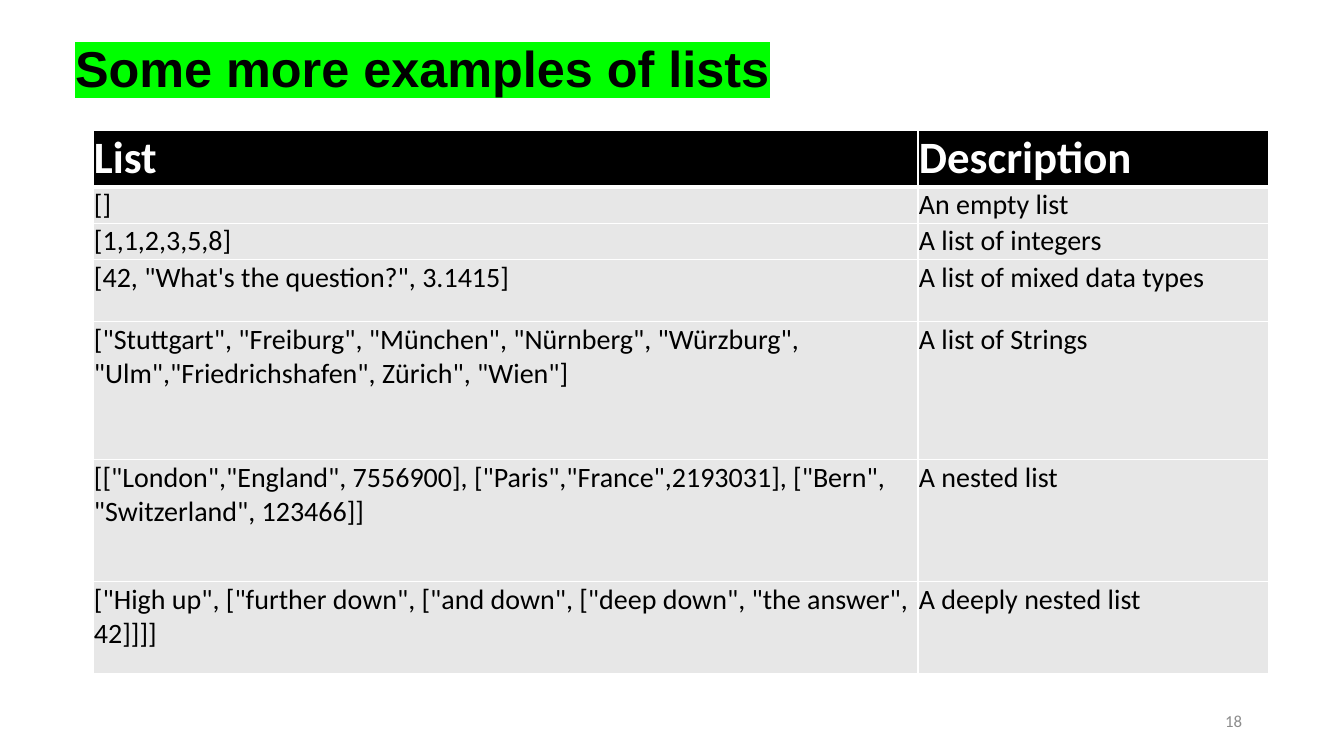
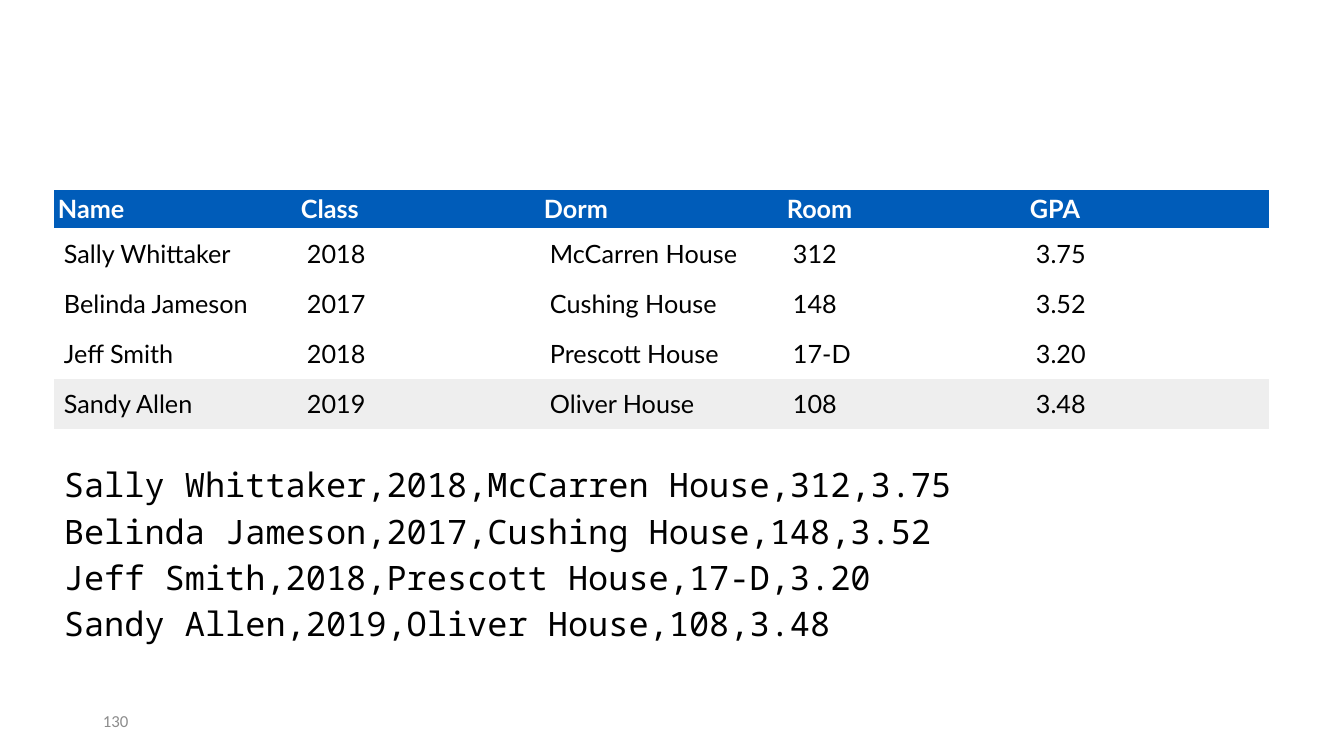
from lxml.etree import SubElement
from pptx import Presentation
from pptx.dml.color import RGBColor
from pptx.enum.text import MSO_ANCHOR, MSO_AUTO_SIZE, PP_ALIGN
from pptx.oxml.ns import qn
from pptx.util import Pt

PX = 914400 / 100.8  # EMU in one px
SLIDE_SIZE = (1344, 756)

BLACK = RGBColor(0x00, 0x00, 0x00)
WHITE = RGBColor(0xFF, 0xFF, 0xFF)
GREEN = RGBColor(0x00, 0xFF, 0x00)
BLUE = RGBColor(0x00, 0x5C, 0xB9)
LIGHT_GRAY = RGBColor(0xE7, 0xE7, 0xE7)
PALE_GRAY = RGBColor(0xEE, 0xEE, 0xEE)
NUMBER_GRAY = RGBColor(0x8C, 0x8C, 0x8C)

TITLE_LAYOUT, BLANK_LAYOUT = 5, 6

LIST_ROWS = [
    ("List", "Description"),
    ("[]", "An empty list"),
    ("[1,1,2,3,5,8]", "A list of integers"),
    ('[42, "What\'s the question?", 3.1415]', "A list of mixed data types"),
    ('["Stuttgart", "Freiburg", "München", "Nürnberg", "Würzburg", '
     '"Ulm","Friedrichshafen", Zürich", "Wien"]', "A list of Strings"),
    ('[["London","England", 7556900], ["Paris","France",2193031], '
     '["Bern", "Switzerland", 123466]]', "A nested list"),
    ('["High up", ["further down", ["and down", ["deep down", '
     '"the answer", 42]]]]', "A deeply nested list"),
]
STUDENT_HEADER = ("Name", "Class", "Dorm", "Room", "GPA")
STUDENTS = [
    ("Sally Whittaker", "2018", "McCarren House", "312", "3.75"),
    ("Belinda Jameson", "2017", "Cushing House", "148", "3.52"),
    ("Jeff Smith", "2018", "Prescott House", "17-D", "3.20"),
    ("Sandy Allen", "2019", "Oliver House", "108", "3.48"),
]


def px(length):
    return round(length * PX)


def style_text(text_frame, font_name, size, color, bold=False, highlight=None):
    for paragraph in text_frame.paragraphs:
        for run in paragraph.runs:
            font = run.font
            font.size, font.bold = Pt(size), bold
            font.color.rgb = color
            if highlight is not None:
                marker = SubElement(font._element, qn("a:highlight"))
                SubElement(marker, qn("a:srgbClr"), val=str(highlight))
            font.name = font_name


def add_title(slide, text):
    title = slide.shapes.title
    title.left, title.top, title.width, title.height = map(px, (65, 13, 1159, 117))
    frame = title.text_frame
    frame.text = text
    frame.auto_size = MSO_AUTO_SIZE.NONE
    frame.vertical_anchor = MSO_ANCHOR.MIDDLE
    frame.paragraphs[0].alignment = PP_ALIGN.LEFT
    frame.paragraphs[0].line_spacing = 0.9
    style_text(frame, "Arial", 36, BLACK, bold=True, highlight=GREEN)


def add_text_box(slide, box, text):
    frame = slide.shapes.add_textbox(*map(px, box)).text_frame
    frame.word_wrap = True
    frame.text = text
    return frame


def add_slide_number(slide, left, number, alignment=PP_ALIGN.LEFT):
    frame = add_text_box(slide, (left, 701, 302, 40), number)
    frame.vertical_anchor = MSO_ANCHOR.MIDDLE
    frame.paragraphs[0].alignment = alignment
    style_text(frame, "Calibri", 12, NUMBER_GRAY)


def add_code_lines(slide, box, lines):
    frame = add_text_box(slide, box, "\n".join(lines))
    for index, paragraph in enumerate(frame.paragraphs):
        paragraph.line_spacing = 0.8
        paragraph.space_before = Pt(10 if index else 0)
    style_text(frame, "Noto Sans Mono", 24, BLACK)


def set_borders(cell, widths):
    """Draw white borders; a width of 0 leaves the side without a line."""
    properties = cell._tc.get_or_add_tcPr()
    for side, width in zip("LRTB", widths):
        line = SubElement(properties, qn(f"a:ln{side}"), w=str(Pt(width)))
        if width:
            fill = SubElement(line, qn("a:solidFill"))
            SubElement(fill, qn("a:srgbClr"), val=str(WHITE))
        else:
            SubElement(line, qn("a:noFill"))


def style_cell(cell, text, fill, margin, borders, anchor, **font):
    set_borders(cell, borders)
    cell.fill.solid()
    cell.fill.fore_color.rgb = fill
    cell.margin_left = cell.margin_right = px(margin)
    cell.margin_top = cell.margin_bottom = px(margin)
    cell.vertical_anchor = anchor
    cell.text_frame.text = text
    style_text(cell.text_frame, **font)


def add_table(slide, left, top, column_widths, row_heights, rows, row_styles):
    frame = slide.shapes.add_table(
        len(rows), len(column_widths), px(left), px(top),
        px(sum(column_widths)), px(sum(row_heights)))
    table = frame.table
    table.horz_banding = False
    for column, width in zip(table.columns, column_widths):
        column.width = px(width)
    for row, height, texts, style in zip(table.rows, row_heights, rows, row_styles):
        row.height = px(height)
        for cell, text in zip(row.cells, texts):
            style_cell(cell, text, **style)


def build_list_slide(presentation):
    slide = presentation.slides.add_slide(presentation.slide_layouts[TITLE_LAYOUT])
    add_title(slide, "Some more examples of lists")
    shared = dict(margin=1, anchor=MSO_ANCHOR.TOP, font_name="Calibri")
    header = dict(shared, fill=BLACK, borders=(1, 1, 1, 3),
                  size=32, color=WHITE, bold=True)
    first = dict(shared, fill=LIGHT_GRAY, borders=(1, 1, 3, 1),
                 size=20, color=BLACK)
    body = dict(first, borders=(1, 1, 1, 1))
    add_table(slide, 93, 130, (825, 351), (56, 36, 36, 62, 138, 122, 92),
              LIST_ROWS, [header, first] + [body] * (len(LIST_ROWS) - 2))
    add_slide_number(slide, 950, "18", PP_ALIGN.RIGHT)


def build_student_slide(presentation):
    slide = presentation.slides.add_slide(presentation.slide_layouts[BLANK_LAYOUT])
    add_slide_number(slide, 93, "130")
    add_code_lines(slide, (54, 467, 1215, 262), [",".join(row) for row in STUDENTS])
    shared = dict(borders=(0, 0, 0, 0), font_name="Lato", size=18)
    header = dict(shared, fill=BLUE, margin=4, anchor=MSO_ANCHOR.MIDDLE,
                  color=WHITE, bold=True)
    body = dict(shared, fill=WHITE, margin=10, anchor=MSO_ANCHOR.TOP, color=BLACK)
    last = dict(body, fill=PALE_GRAY)
    add_table(slide, 54, 190, [243] * len(STUDENT_HEADER),
              [38] + [50] * len(STUDENTS), [STUDENT_HEADER] + STUDENTS,
              [header] + [body] * (len(STUDENTS) - 1) + [last])


def main():
    presentation = Presentation()
    presentation.slide_width, presentation.slide_height = map(px, SLIDE_SIZE)
    build_list_slide(presentation)
    build_student_slide(presentation)
    presentation.save("out.pptx")


if __name__ == "__main__":
    main()
